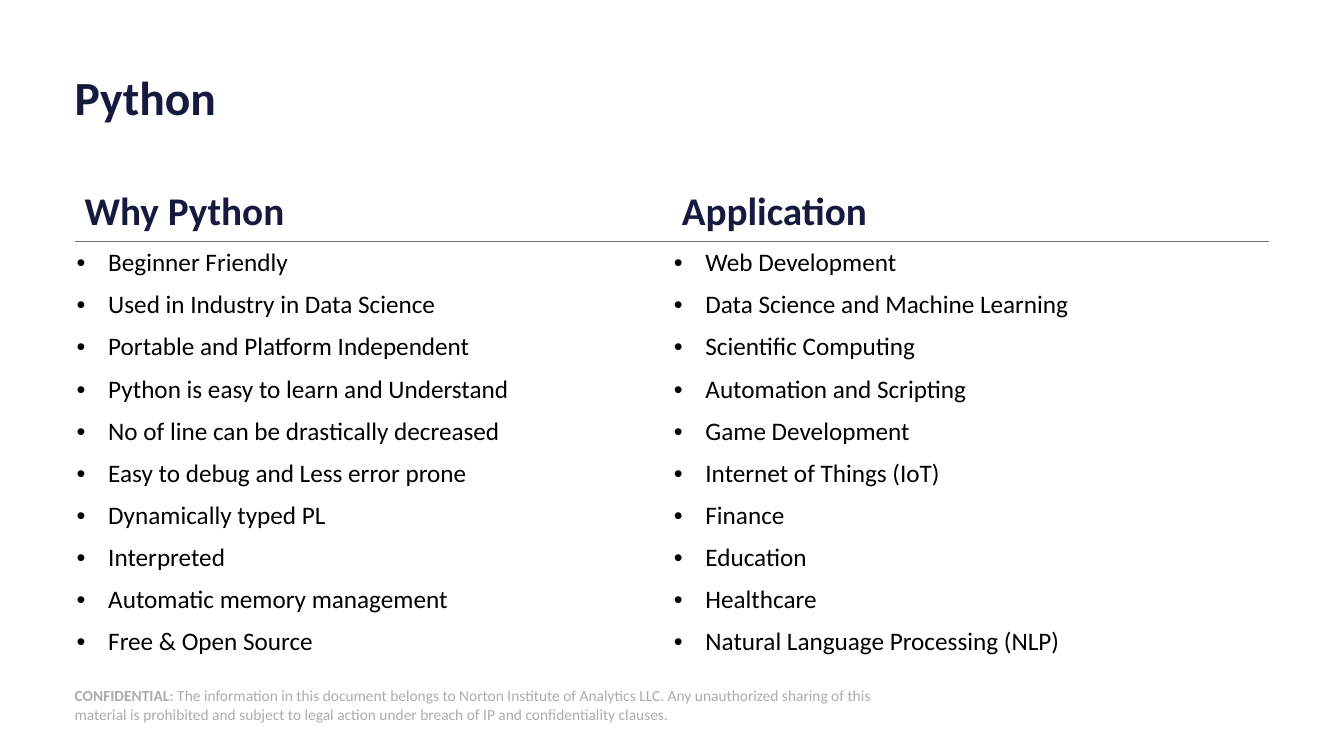
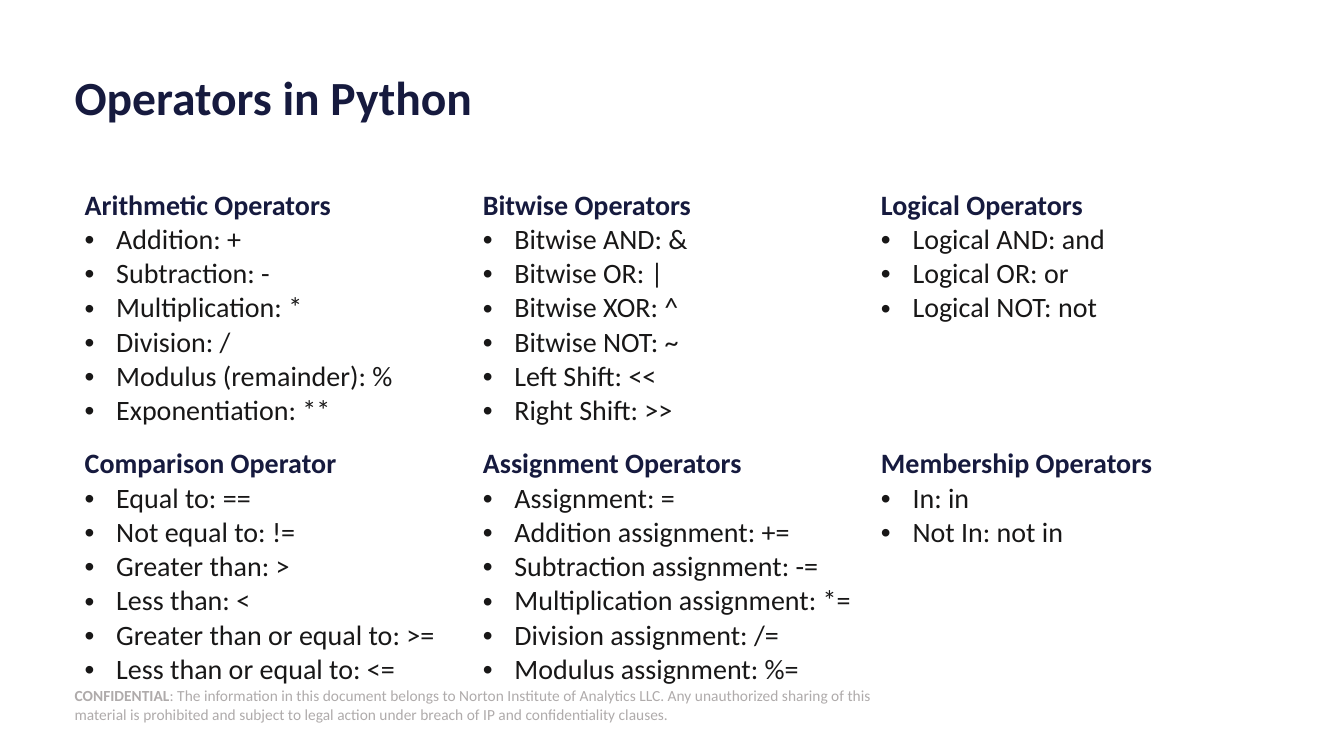
"""Build two slides on Python: its merits and uses, and its operators."""
from lxml.etree import SubElement
from pptx import Presentation
from pptx.dml.color import RGBColor
from pptx.enum.shapes import MSO_SHAPE
from pptx.enum.text import MSO_ANCHOR, MSO_AUTO_SIZE, PP_ALIGN
from pptx.oxml import parse_xml
from pptx.oxml.ns import nsdecls, qn
from pptx.util import Pt

COLORS = {
    "navy": "161A3E",
    "black": "000000",
    "ink": "181717",
    "rule": "767171",
    "notice": "AFABAB",
    "white": "FFFFFF",
}
FONT = "Calibri"
LEFT, WIDTH = 53.3, 853.2
TABLE_TOP = 131
HANGING = 22.5
NO_GRID_STYLE = "{2D5ABB26-0587-4C30-8999-92F81FD0307C}"
NOTICE = (
    ": The information in this document belongs to Norton Institute of Analytics LLC. "
    "Any unauthorized sharing of this material is prohibited and subject to legal action "
    "under breach of IP and confidentiality clauses."
)

MERITS_AND_USES = {
    "Why Python": [
        "Beginner Friendly",
        "Used in Industry in Data Science",
        "Portable and Platform Independent",
        "Python is easy to learn and Understand",
        "No of line can be drastically decreased",
        "Easy to debug and Less error prone",
        "Dynamically typed PL",
        "Interpreted",
        "Automatic memory management",
        "Free & Open Source",
    ],
    "Application": [
        "Web Development",
        "Data Science and Machine Learning",
        "Scientific Computing",
        "Automation and Scripting",
        "Game Development",
        "Internet of Things (IoT)",
        "Finance",
        "Education",
        "Healthcare",
        "Natural Language Processing (NLP)",
    ],
}

OPERATORS = [
    {
        "Arithmetic Operators": [
            "Addition: +", "Subtraction: -", "Multiplication: *",
            "Division: /", "Modulus (remainder): %", "Exponentiation: **",
        ],
        "Bitwise Operators": [
            "Bitwise AND: &", "Bitwise OR: |", "Bitwise XOR: ^",
            "Bitwise NOT: ~", "Left Shift: <<", "Right Shift: >>",
        ],
        "Logical Operators": ["Logical AND: and", "Logical OR: or", "Logical NOT: not"],
    },
    {
        "Comparison Operator": [
            "Equal to: ==", "Not equal to: !=", "Greater than: >",
            "Less than: <", "Greater than or equal to: >=", "Less than or equal to: <=",
        ],
        "Assignment Operators": [
            "Assignment: =", "Addition assignment: +=", "Subtraction assignment: -=",
            "Multiplication assignment: *=", "Division assignment: /=", "Modulus assignment: %=",
        ],
        "Membership Operators": ["In: in", "Not In: not in"],
    },
]


def write_lines(frame, lines, size, color, bold=False, indent=None, gap=0):
    """Append styled lines to a frame, bulleted when an indent is given."""
    for line in lines:
        first = not frame.text
        paragraph = frame.paragraphs[0] if first else frame.add_paragraph()
        paragraph.text = line
        paragraph.alignment = PP_ALIGN.LEFT
        paragraph.space_before = Pt(0 if first else gap)
        if indent is not None:
            properties = paragraph._p.get_or_add_pPr()
            properties.set("marL", str(Pt(indent)))
            properties.set("indent", str(-Pt(HANGING)))
            SubElement(properties, qn("a:buFont"), typeface="Arial")
            SubElement(properties, qn("a:buChar"), char="•")
        paragraph.font.name = FONT
        paragraph.font.size = Pt(size)
        paragraph.font.bold = bold
        paragraph.font.color.rgb = RGBColor.from_string(COLORS[color])


def add_page(heading, column_count, row_heights):
    """Add a slide with its title and confidentiality notice, and return its table."""
    slide = presentation.slides.add_slide(presentation.slide_layouts[5])

    notice = slide.shapes.add_shape(
        MSO_SHAPE.RECTANGLE, Pt(LEFT), Pt(489), Pt(588), Pt(29))
    notice.shadow.inherit = False
    notice.fill.solid()
    notice.fill.fore_color.rgb = RGBColor.from_string(COLORS["white"])
    notice.line.fill.background()
    write_lines(notice.text_frame, ["CONFIDENTIAL"], 11, "notice")
    opening = notice.text_frame.paragraphs[0]
    opening.runs[0].font.bold = True
    opening.add_run().text = NOTICE

    title = slide.shapes.title
    title.left, title.top, title.width, title.height = Pt(LEFT), Pt(47.5), Pt(WIDTH), Pt(48)
    write_lines(title.text_frame, [heading], 34, "navy", bold=True)
    title.text_frame.paragraphs[0].line_spacing = 0.9

    for frame in (notice.text_frame, title.text_frame):
        frame.margin_left = frame.margin_top = frame.margin_right = frame.margin_bottom = 0
        frame.vertical_anchor = MSO_ANCHOR.MIDDLE
        frame.word_wrap = True
        frame.auto_size = MSO_AUTO_SIZE.NONE

    table = slide.shapes.add_table(
        len(row_heights), column_count,
        Pt(LEFT), Pt(TABLE_TOP), Pt(WIDTH), Pt(sum(row_heights))).table
    table.first_row = table.horz_banding = False
    table._tbl.tblPr.find(qn("a:tableStyleId")).text = NO_GRID_STYLE
    for row, height in zip(table.rows, row_heights):
        row.height = Pt(height)
    for cell in table.iter_cells():
        cell.fill.background()
    return table


presentation = Presentation()
presentation.slide_width, presentation.slide_height = Pt(960), Pt(540)

overview = add_page("Python", 2, [41.4, 301.6])
for column, (topic, points) in enumerate(MERITS_AND_USES.items()):
    header, body = overview.cell(0, column), overview.cell(1, column)
    write_lines(header.text_frame, [topic], 28, "navy", bold=True)
    write_lines(body.text_frame, points, 18, "black", indent=24, gap=8.1)
    body.margin_left = body.margin_top = body.margin_right = body.margin_bottom = 0
    for cell, side in ((header, "lnB"), (body, "lnT")):
        cell.vertical_anchor = MSO_ANCHOR.MIDDLE
        cell._tc.get_or_add_tcPr().insert(0, parse_xml(
            f'<a:{side} {nsdecls("a")} w="{Pt(1)}"><a:solidFill>'
            f'<a:srgbClr val="{COLORS["rule"]}"/></a:solidFill></a:{side}>'))

operators = add_page("Operators in Python", 3, [178, 184])
for row, families in enumerate(OPERATORS):
    for column, (family, symbols) in enumerate(families.items()):
        cell = operators.cell(row, column)
        cell.margin_top = Pt(3.6 + 6.1 * row)
        write_lines(cell.text_frame, [family], 20, "navy", bold=True)
        write_lines(cell.text_frame, symbols, 20, "ink", indent=HANGING)

presentation.save("out.pptx")
